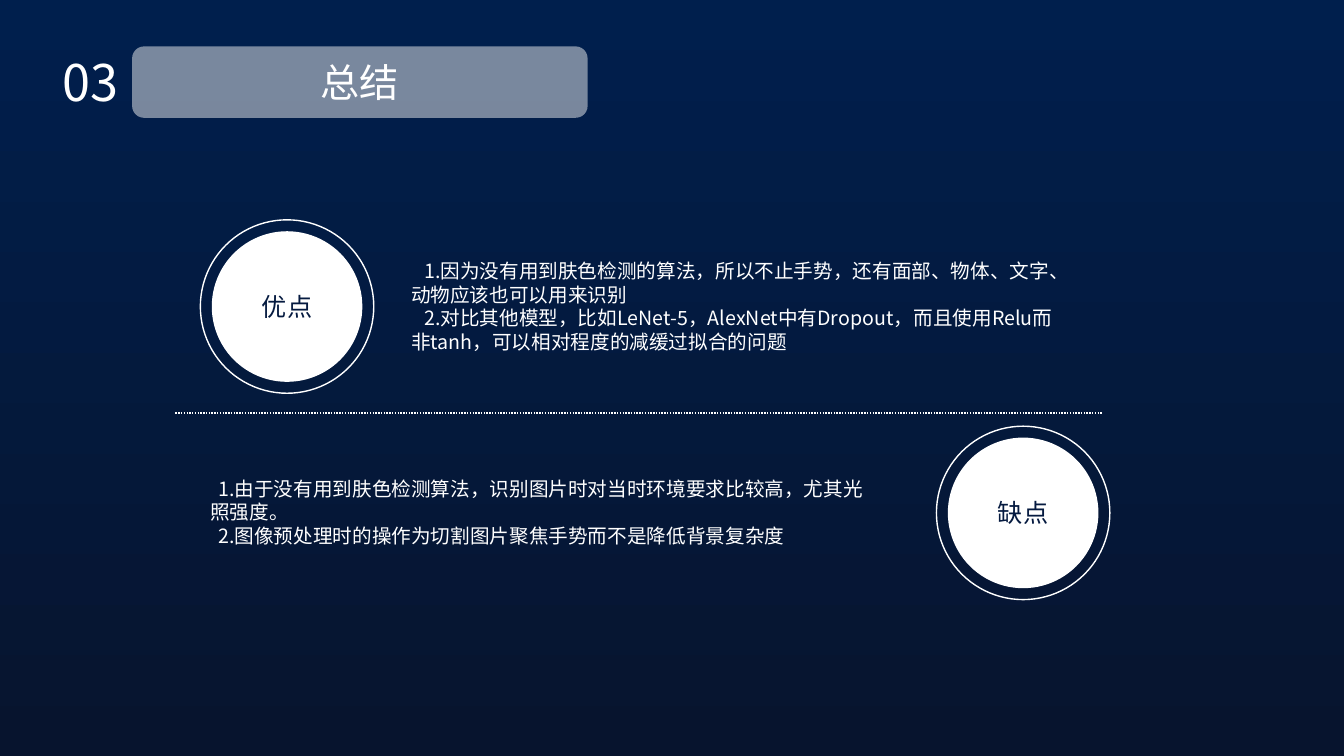
from lxml.etree import SubElement
from pptx import Presentation
from pptx.dml.color import RGBColor
from pptx.enum.dml import MSO_LINE
from pptx.enum.shapes import MSO_CONNECTOR, MSO_SHAPE
from pptx.enum.text import MSO_ANCHOR, MSO_AUTO_SIZE, PP_ALIGN
from pptx.oxml.ns import qn
from pptx.util import Cm, Pt

# Content
NUMBER, TITLE = "03", "总结"
# Each section: label, ring (left, top), text box (left, top, width, height), first-line indent, points
SECTIONS = [
    ("优点", (5.05, 5.54), (10.11, 6.4, 17.02, 2.64), 0.33, [
        "1.因为没有用到肤色检测的算法，所以不止手势，还有面部、物体、文字、动物应该也可以用来识别",
        "2.对比其他模型，比如LeNet-5，AlexNet中有Dropout，而且使用Relu而非tanh，可以相对程度的减缓过拟合的问题",
    ]),
    ("缺点", (23.6, 10.74), (5.05, 11.89, 17.3, 2.06), 0.2, [
        "1.由于没有用到肤色检测算法，识别图片时对当时环境要求比较高，尤其光照强度。",
        "2.图像预处理时的操作为切割图片聚焦手势而不是降低背景复杂度",
    ]),
]

# Style
FONT = "Noto Sans CJK SC"
WHITE = RGBColor(0xFF, 0xFF, 0xFF)
PALE_GREY = RGBColor(0xF2, 0xF2, 0xF2)
NAVY = RGBColor(0x05, 0x1A, 0x40)
BACKGROUND = (RGBColor(0x00, 0x1F, 0x4D), RGBColor(0x07, 0x14, 0x2E))
RING, DISC = 4.37, 3.76


def add_span(para, text, size, color):
    span = para.add_run()
    span.text = text
    span.font.size = Pt(size)
    span.font.name = FONT
    span.font.color.rgb = color
    SubElement(span.font._element, qn("a:ea"), typeface=FONT)


def add_filled(shapes, kind, place, fill=None, line=None):
    shape = shapes.add_shape(kind, *map(Cm, place))
    shape.shadow.inherit = False
    if fill is None:
        shape.fill.background()
    else:
        shape.fill.solid()
        shape.fill.fore_color.rgb = fill
    if line is None:
        shape.line.fill.background()
    else:
        shape.line.color.rgb = line
        shape.line.width = Pt(1)
    return shape


def add_label(shape, text, size, color):
    shape.text_frame.vertical_anchor = MSO_ANCHOR.MIDDLE
    para = shape.text_frame.paragraphs[0]
    para.alignment = PP_ALIGN.CENTER
    add_span(para, text, size, color)


def add_text(page, place, lines, size, wrap, indent=0):
    frame = page.shapes.add_textbox(*map(Cm, place)).text_frame
    frame.word_wrap = wrap
    frame.auto_size = MSO_AUTO_SIZE.SHAPE_TO_FIT_TEXT
    for index, line in enumerate(lines):
        para = frame.add_paragraph() if index else frame.paragraphs[0]
        if indent:
            properties = para._p.get_or_add_pPr()
            properties.set("marL", "0")
            properties.set("indent", str(Cm(indent)))
        add_span(para, line, size, WHITE)


def add_badge(page, left, top, label):
    shapes = page.shapes.add_group_shape().shapes
    inset = (RING - DISC) / 2
    add_filled(shapes, MSO_SHAPE.OVAL, (left, top, RING, RING), line=WHITE)
    disc = add_filled(shapes, MSO_SHAPE.OVAL,
                      (left + inset, top + inset, DISC, DISC), WHITE, WHITE)
    add_label(disc, label, 18, NAVY)


def main():
    deck = Presentation()
    deck.slide_width, deck.slide_height = Cm(33.87), Cm(19.05)
    page = deck.slides.add_slide(deck.slide_layouts[6])

    # Background
    fill = page.background.fill
    fill.gradient()
    fill.gradient_angle = 270
    for stop, color in zip(fill.gradient_stops, BACKGROUND):
        stop.color.rgb = color

    # Heading
    add_text(page, (1.32, 1.17, 2.01, 1.8), [NUMBER], 36, False)
    banner = add_filled(page.shapes, MSO_SHAPE.ROUNDED_RECTANGLE,
                        (3.33, 1.17, 11.48, 1.8), PALE_GREY)
    tint = banner._element.spPr.find(qn("a:solidFill"))[0]
    SubElement(tint, qn("a:alpha"), val="50000")
    add_label(banner, TITLE, 28, WHITE)

    # Sections
    for label, ring, place, indent, points in SECTIONS:
        add_badge(page, *ring, label)
        add_text(page, place, points, 14, True, indent)

    # Divider
    divider = page.shapes.add_connector(
        MSO_CONNECTOR.STRAIGHT, Cm(4.42), Cm(10.41), Cm(27.79), Cm(10.41))
    divider.line.color.rgb = WHITE
    divider.line.width = Pt(1)
    divider.line.dash_style = MSO_LINE.ROUND_DOT
    SubElement(divider._element.spPr, qn("a:effectLst"))

    deck.save("out.pptx")


if __name__ == "__main__":
    main()
